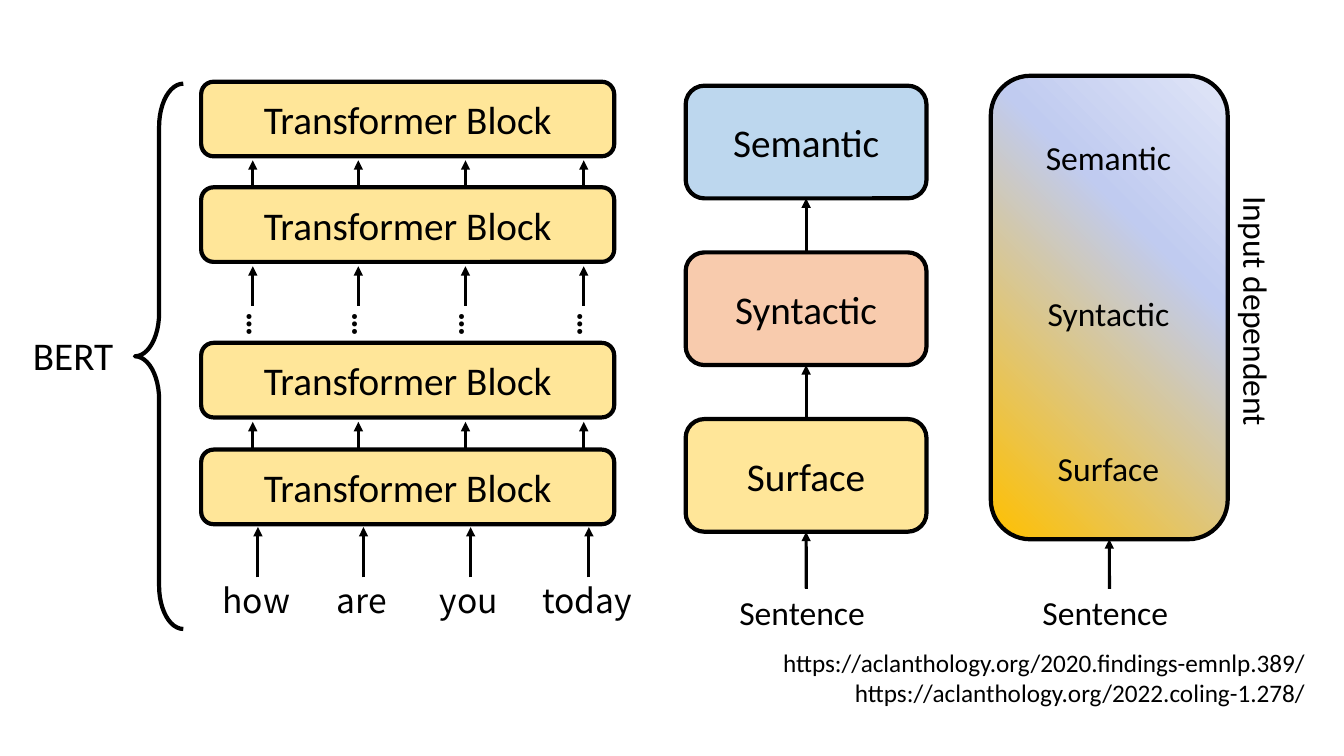
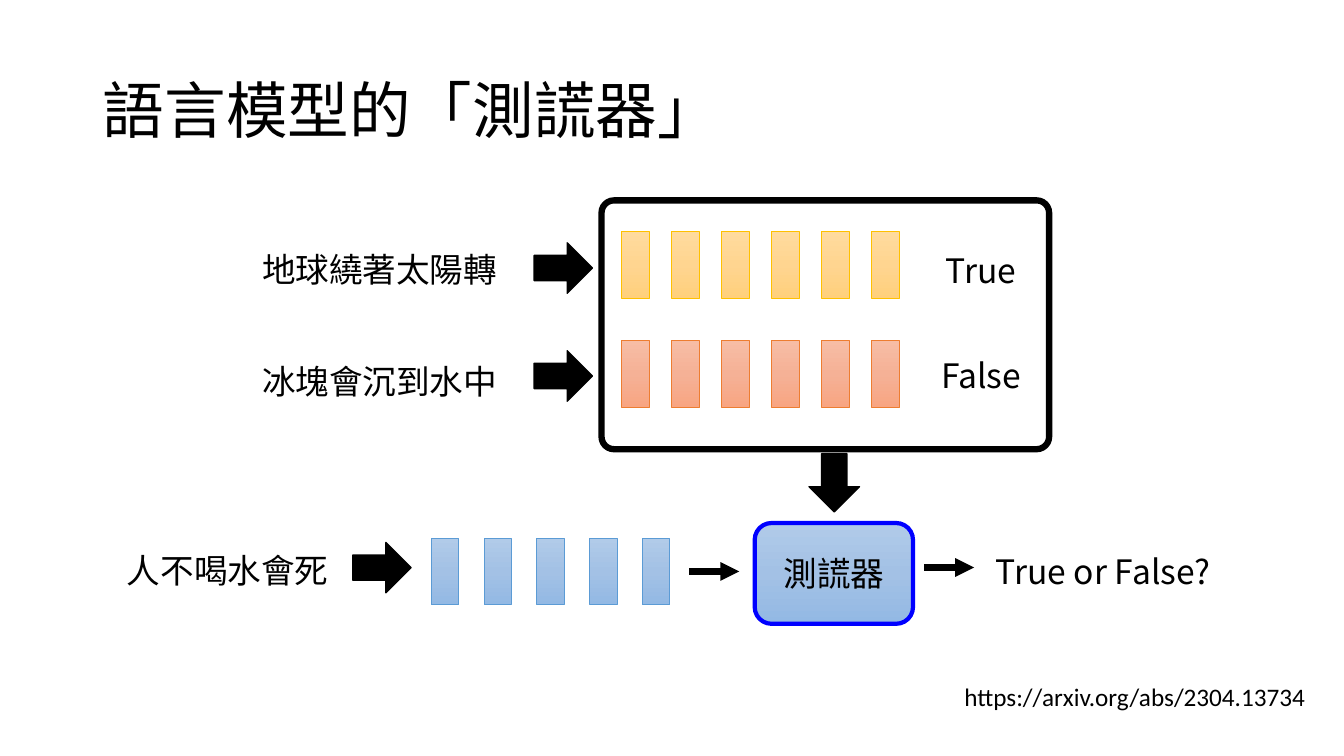
from dataclasses import dataclass

from lxml.etree import SubElement
from pptx import Presentation
from pptx.dml.color import RGBColor as RGB
from pptx.enum.shapes import MSO_CONNECTOR as Connector, MSO_SHAPE as Shape
from pptx.enum.text import MSO_ANCHOR as Anchor, PP_ALIGN as Align
from pptx.oxml.ns import qn
from pptx.util import Cm, Pt


@dataclass(frozen=True)
class Theme:
    black: str = "000000"
    yellow: str = "FFE699"
    peach: str = "F8CBAD"
    sky: str = "BDD7EE"
    detector_edge: str = "0000FF"
    gold_edge: str = "FFC000"
    orange_edge: str = "ED7D31"
    blue_edge: str = "5B9BD5"
    gold: tuple = ((0, "FFDB9E"), (50, "FFD590"), (100, "FFD07C"))
    orange: tuple = ((0, "F7BDA5"), (50, "F5B196"), (100, "F8A582"))
    blue: tuple = ((0, "B1CBE9"), (50, "A3C1E5"), (100, "93B9E4"))
    blend: tuple = ((0, "FFC000"), (66, "C0CBF0"), (100, "E0E5F7"))
    latin: str = "Calibri"
    cjk: str = "Noto Sans CJK SC"
    title: int = 44
    block: int = 28
    label: int = 24
    reference: int = 18
    outline: float = 3
    arrow: float = 2.25


theme = Theme()


def put(page, kind, place, text="", size=theme.label, face=theme.latin, align=Align.CENTER,
        bold=None, fill=None, angle=270, line=theme.black, weight=theme.outline):
    """Add a shape, or a text box if kind is None; place is left, top, width, height in cm.

    A fill is a colour or a tuple of gradient stops (percent, colour).
    """
    place = [Cm(length) for length in place]
    if kind is None:
        box = page.shapes.add_textbox(*place)
    else:
        box = page.shapes.add_shape(kind, *place)
        box.shadow.inherit = False
        box.line.color.rgb = RGB.from_string(line)
        box.line.width = Pt(weight)
        if fill is None:
            box.fill.background()
        elif isinstance(fill, str):
            box.fill.solid()
            box.fill.fore_color.rgb = RGB.from_string(fill)
        else:
            box.fill.gradient()
            box.fill.gradient_angle = angle
            stop_list = box._element.spPr.find(".//" + qn("a:gsLst"))
            stop_list.clear()
            for percent, colour in fill:
                stop = SubElement(stop_list, qn("a:gs"), pos=str(percent * 1000))
                SubElement(stop, qn("a:srgbClr"), val=colour)
    if text:
        frame = box.text_frame
        frame.word_wrap = True
        frame.vertical_anchor = Anchor.TOP if kind is None else Anchor.MIDDLE
        frame.text = text
        for para in frame.paragraphs:
            para.alignment = align
            para.font.name = face
            para.font.size = Pt(size)
            para.font.bold = bold
            para.font.color.rgb = RGB.from_string(theme.black)
            SubElement(para.font._element, qn("a:ea"), typeface=face)
    return box


def add_arrow(page, start, end, weight=theme.arrow):
    ends = [Cm(length) for length in (*start, *end)]
    arrow = page.shapes.add_connector(Connector.STRAIGHT, *ends)
    arrow.line.color.rgb = RGB.from_string(theme.black)
    arrow.line.width = Pt(weight)
    SubElement(arrow.line._get_or_add_ln(), qn("a:tailEnd"), type="triangle")
    SubElement(arrow._element.spPr, qn("a:effectLst"))
    return arrow


deck = Presentation()
deck.slide_width, deck.slide_height = Cm(33.87), Cm(19.05)

# Layers of the model
layers = deck.slides.add_slide(deck.slide_layouts[6])

for top in (2.06, 4.72, 8.64, 11.33):
    put(layers, Shape.ROUNDED_RECTANGLE, (5.07, top, 10.41, 1.88), "Transformer Block",
        theme.block, fill=theme.yellow)

token_columns = (6.37, 9.03, 11.73, 14.71)
for shift, start, end in ((0, 4.72, 4.04), (0, 7.7, 6.71), (0, 11.33, 10.63), (0.13, 14.55, 13.28)):
    for x in token_columns:
        add_arrow(layers, (x + shift, start), (x + shift, end))
for x, word in zip(token_columns, ("how", "are", "you", "today")):
    put(layers, None, (x - 1.37, 14.5, 2.92, 1.27), word, face=theme.cjk)
    dots = put(layers, None, (x - 0.64, 7.82, 1.65, 1.27), "…", align=Align.LEFT, bold=True)
    dots.rotation = 90

brace = put(layers, Shape.LEFT_BRACE, (3.4, 2.11, 1.22, 13.74))
brace.adjustments[0] = 0.89
put(layers, None, (0.58, 8.23, 3.84, 1.45), "BERT", theme.block, align=Align.LEFT)

mixture = put(layers, Shape.ROUNDED_RECTANGLE, (24.97, 1.91, 5.97, 11.68),
              fill=theme.blend, angle=45)
levels = []
for row, (name, colour) in enumerate((("Semantic", theme.sky), ("Syntactic", theme.peach),
                                      ("Surface", theme.yellow))):
    levels.append(put(layers, Shape.ROUNDED_RECTANGLE, (17.28, 2.16 + 4.2 * row, 6.07, 2.84),
                      name, theme.block, fill=colour))
    put(layers, None, (25.88, 3.33 + 3.92 * row, 4.11, 1.27), name)
for upper, lower in zip(levels, levels[1:]):
    arrow = add_arrow(layers, (20.32, 6), (20.32, 5))
    arrow.begin_connect(lower, 0)
    arrow.end_connect(upper, 2)

for x, target in ((20.32, levels[-1]), (27.96, mixture)):
    arrow = add_arrow(layers, (x, 14.84), (x, 13.6))
    arrow.end_connect(target, 2)
    put(layers, None, (x - 5.35, 14.78, 10.49, 1.27), "Sentence")

side_note = put(layers, None, (27.48, 7.21, 8.38, 1.27), "Input dependent")
side_note.rotation = 90

# Lie detector
detector = deck.slides.add_slide(deck.slide_layouts[5])

title = detector.shapes.title
title.left, title.top, title.width, title.height = Cm(2.34), Cm(1.02), Cm(29.21), Cm(3.68)
title.text_frame.text = "語言模型的「測謊器」"
title.text_frame.vertical_anchor = Anchor.MIDDLE
heading = title.text_frame.paragraphs[0]
heading.alignment = Align.LEFT
heading.line_spacing = 0.9
heading.font.name = theme.cjk
heading.font.size = Pt(theme.title)
heading.font.color.rgb = RGB.from_string(theme.black)
SubElement(heading.font._element, qn("a:ea"), typeface=theme.cjk)

statements = (
    # text, text place, arrow place, first cell place, pitch, count, fill, edge
    ("地球繞著太陽轉", (5.26, 6.15), (13.46, 6.12), (15.67, 5.84), 1.26, 6, theme.gold, theme.gold_edge),
    ("冰塊會沉到水中", (5.26, 8.97), (13.46, 8.84), (15.67, 8.59), 1.26, 6, theme.orange, theme.orange_edge),
    ("人不喝水會死", (1.01, 13.74), (8.89, 13.67), (10.87, 13.56), 1.33, 5, theme.blue, theme.blue_edge),
)
for text, text_place, arrow_place, (left, top), pitch, count, fill, edge in statements:
    put(detector, None, (*text_place, 7.52, 1.27), text, face=theme.cjk, align=Align.RIGHT)
    put(detector, Shape.RIGHT_ARROW, (*arrow_place, 1.47, 1.27), fill=theme.black, weight=1)
    for cell in range(count):
        put(detector, Shape.RECTANGLE, (left + pitch * cell, top, 0.69, 1.68),
            fill=fill, line=edge, weight=0.5)

training_frame = put(detector, Shape.ROUNDED_RECTANGLE, (15.16, 5.05, 11.28, 6.27), weight=4.5)
training_frame.adjustments[0] = 0.05
put(detector, Shape.DOWN_ARROW, (20.39, 11.43, 1.27, 1.47), fill=theme.black, weight=1)
put(detector, Shape.ROUNDED_RECTANGLE, (19.02, 13.18, 3.99, 2.54), "測謊器", face=theme.cjk,
    fill=theme.blue, line=theme.detector_edge)

for answer, place in (("True", (22.25, 6.17, 4.95, 1.27)), ("False", (22.25, 8.81, 4.95, 1.27)),
                      ("True or False?", (23.93, 13.77, 7.75, 1.27))):
    put(detector, None, place, answer, face=theme.cjk)
for x, y in ((17.37, 14.4), (23.29, 14.3)):
    add_arrow(detector, (x, y), (x + 1.26, y), 4.5)

# References
for page, top, height, links in (
    (layers, 16.18, 1.8, "https://aclanthology.org/2020.findings-emnlp.389/\n"
                         "https://aclanthology.org/2022.coling-1.278/"),
    (detector, 17.04, 1.02, "https://arxiv.org/abs/2304.13734"),
):
    put(page, None, (5.4, top, 27.74, height), links, theme.reference, align=Align.RIGHT)

deck.save("out.pptx")
